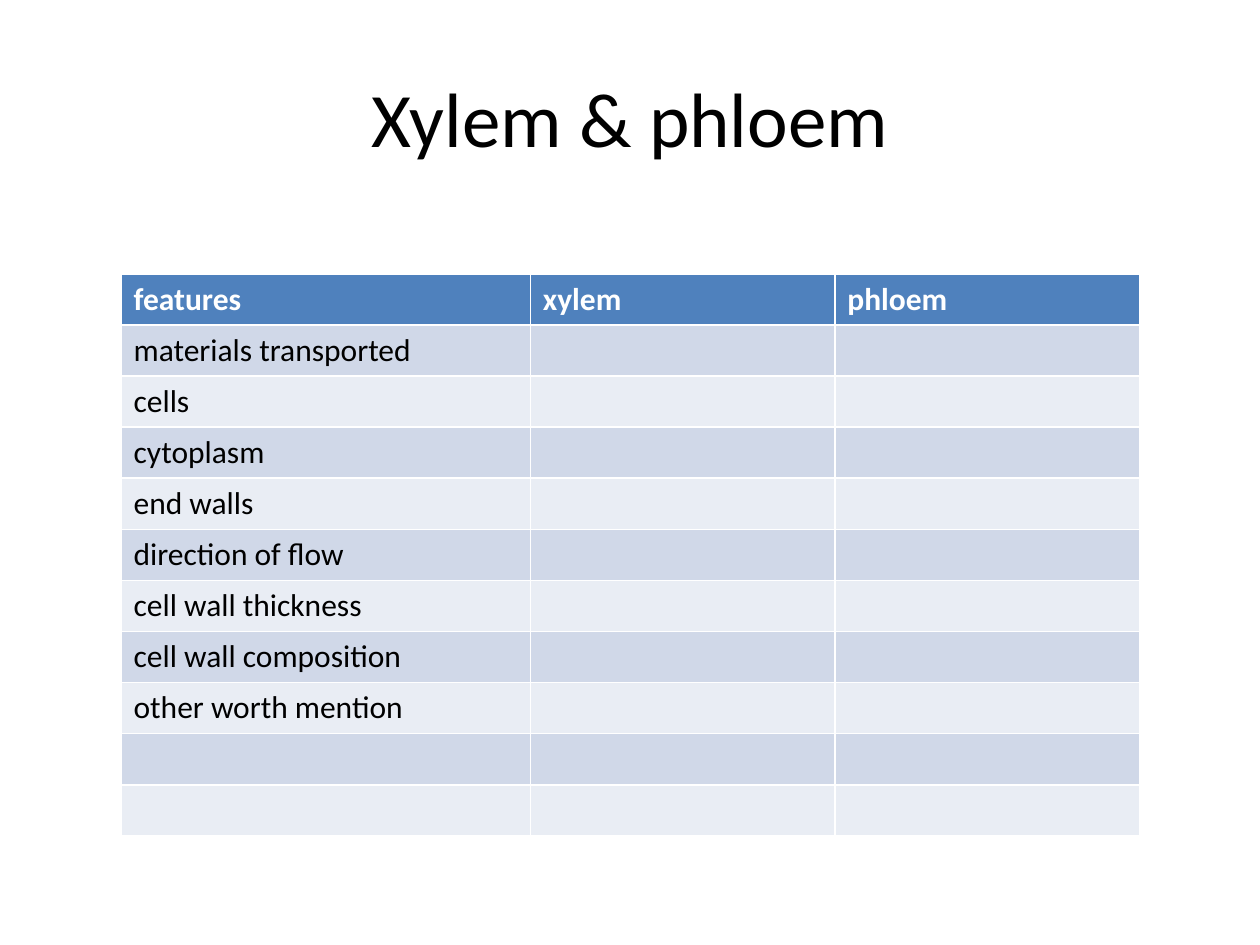
import pptx
import pptx.util
import pptx.dml.color
import pptx.enum.text

Cm = pptx.util.Cm


def tint(hue):
    return pptx.dml.color.RGBColor.from_string(hue)


def put(frame, text, size=18, hue="000000", bold=False, align="LEFT"):
    frame.text = text
    para = frame.paragraphs[0]
    para.alignment = getattr(pptx.enum.text.PP_ALIGN, align)
    font = para.runs[0].font
    font.name = "Calibri"
    font.size = pptx.util.Pt(size)
    font.bold = bold
    font.color.rgb = tint(hue)


deck = pptx.Presentation()
deck.slide_width = Cm(25.4)
deck.slide_height = Cm(19.05)
slide = deck.slides.add_slide(deck.slide_layouts[5])

title = slide.shapes.title
title.left, title.top = Cm(1.27), Cm(0.76)
title.width, title.height = Cm(22.86), Cm(3.18)
title.text_frame.vertical_anchor = pptx.enum.text.MSO_ANCHOR.MIDDLE
put(title.text_frame, "Xylem & phloem", size=44, align="CENTER")

heads = ["features", "xylem", "phloem"]
traits = [
    "materials transported",
    "cells",
    "cytoplasm",
    "end walls",
    "direction of flow",
    "cell wall thickness",
    "cell wall composition",
    "other worth mention",
    "",
    "",
]
rows = [heads] + [[trait, "", ""] for trait in traits]
widths = [8.25, 6.14, 6.14]
high = 1.03

grid = slide.shapes.add_table(
    len(rows), len(heads), Cm(2.44), Cm(5.52), Cm(sum(widths)), Cm(high * len(rows))
).table
for col, width in zip(grid.columns, widths):
    col.width = Cm(width)

for r, row in enumerate(rows):
    grid.rows[r].height = Cm(high)
    head = r == 0
    fill = "4F81BD" if head else ("E9EDF4", "D0D8E8")[r % 2]
    for c, text in enumerate(row):
        cell = grid.cell(r, c)
        cell.fill.solid()
        cell.fill.fore_color.rgb = tint(fill)
        if text:
            put(cell.text_frame, text, hue="FFFFFF" if head else "000000", bold=head)

deck.save("out.pptx")
